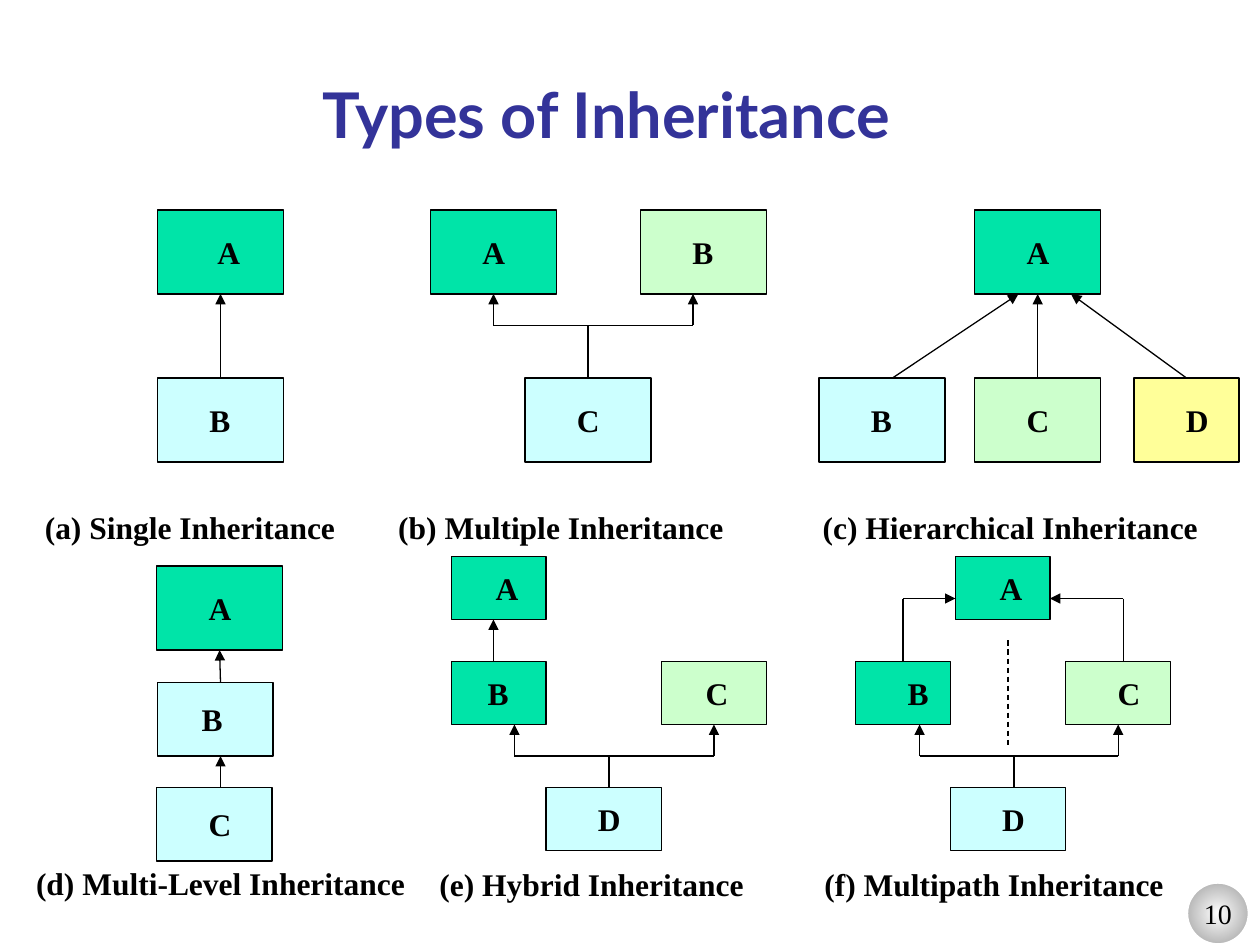
"""Build the slide on types of inheritance."""
from typing import NamedTuple

from lxml.etree import SubElement
from pptx import Presentation
from pptx.dml.color import RGBColor
from pptx.enum.dml import MSO_LINE
from pptx.enum.shapes import MSO_CONNECTOR, MSO_SHAPE
from pptx.enum.text import MSO_ANCHOR, PP_ALIGN
from pptx.oxml.ns import qn
from pptx.util import Pt

COLORS = {
    "black": "000000", "white": "FFFFFF", "grey": "979797", "title": "333399",
    "green": "00E4A8", "cyan": "CCFFFF", "lime": "CCFFCC", "yellow": "FFFF99",
}
SERIF = "Times New Roman"
INSET = 7.2


class Box(NamedTuple):
    label: str
    x: float
    y: float
    w: float
    h: float
    fill: str
    indent: float = 22.5


class Line(NamedTuple):
    x1: float
    y1: float
    x2: float
    y2: float
    arrow: bool = True
    dashed: bool = False


class Fork(NamedTuple):
    left: float
    right: float
    stem: float
    top: float
    bar: float
    bottom: float


class Caption(NamedTuple):
    text: str
    x: float
    y: float
    w: float


BOXES = [
    Box("A", 90, 120, 72, 48, "green", 27),
    Box("B", 90, 216, 72, 48, "cyan"),
    Box("A", 246, 120, 72, 48, "green"),
    Box("B", 366, 120, 72, 48, "lime"),
    Box("C", 300, 216, 72, 48, "cyan"),
    Box("A", 557, 120, 72, 48, "green"),
    Box("B", 468, 216, 72, 48, "cyan"),
    Box("C", 557, 216, 72, 48, "lime"),
    Box("D", 648, 216, 60, 48, "yellow"),
    Box("A", 89.5, 323.5, 72, 48, "green"),
    Box("B", 90, 390, 66, 42, "cyan", 18),
    Box("C", 89.5, 450, 66, 42, "cyan"),
    Box("A", 258, 318, 54, 36, "green", 18),
    Box("B", 258, 378, 54, 36, "green", 13.5),
    Box("C", 378, 378, 60, 36, "lime", 18),
    Box("D", 312, 450, 66, 36, "cyan"),
    Box("A", 546, 318, 54, 36, "green", 18),
    Box("B", 489, 378, 54, 36, "green"),
    Box("C", 609, 378, 60, 36, "lime"),
    Box("D", 543, 450, 66, 36, "cyan"),
]
LINES = [
    Line(126, 216, 126, 168),
    Line(510, 216, 582, 168),
    Line(593, 216, 593, 168),
    Line(678, 216, 612, 168),
    Line(126, 390, 125.5, 371.5),
    Line(126, 450, 126, 432),
    Line(282, 378, 282, 354),
    Line(516, 378, 516, 342, arrow=False),
    Line(516, 342, 546, 342),
    Line(642, 378, 642, 342, arrow=False),
    Line(642, 342, 600, 342),
    Line(576, 366, 576, 426, arrow=False, dashed=True),
]
FORKS = [
    Fork(282, 396, 336, 168, 186, 216),
    Fork(294, 408, 348, 414, 432, 450),
    Fork(525.5, 639, 579.5, 414, 432, 450),
]
CAPTIONS = [
    Caption("(a) Single Inheritance", 18.5, 286.5, 192),
    Caption("(b) Multiple Inheritance", 220.5, 286.5, 208),
    Caption("(c) Hierarchical Inheritance", 463, 286.5, 238),
    Caption("(d) Multi-Level Inheritance", 13.5, 490, 228),
    Caption("(e) Hybrid Inheritance", 244, 490.5, 190),
    Caption("(f) Multipath Inheritance", 464, 490.5, 210),
]


def rgb(name: str) -> RGBColor:
    """Return a named colour."""
    return RGBColor.from_string(COLORS[name])


def write(sp, text: str, size: float, font: str = SERIF, color: str = "black",
          bold: bool = True, align=PP_ALIGN.LEFT, anchor=MSO_ANCHOR.MIDDLE) -> None:
    """Put one paragraph of text into a shape."""
    tf = sp.text_frame
    tf.vertical_anchor = anchor
    p = tf.paragraphs[0]
    p.text = text
    p.alignment = align
    p.font.name, p.font.size, p.font.bold = font, Pt(size), bold
    p.font.color.rgb = rgb(color)


def draw_box(s, box: Box):
    """Draw a class box with its indented label."""
    sp = s.shapes.add_shape(MSO_SHAPE.RECTANGLE, Pt(box.x), Pt(box.y), Pt(box.w), Pt(box.h))
    sp.shadow.inherit = False
    sp.fill.solid()
    sp.fill.fore_color.rgb = rgb(box.fill)
    sp.line.color.rgb = rgb("black")
    sp.line.width = Pt(0.75)
    sp.text_frame.word_wrap = False
    sp.text_frame.margin_left = Pt(INSET + box.indent)
    write(sp, box.label, 18)
    return sp


def find_site(shapes: list, x: float, y: float):
    """Return the shape and side whose middle lies at a point, if any."""
    for box, sp in zip(BOXES, shapes):
        mid_x, mid_y = box.x + box.w / 2, box.y + box.h / 2
        sites = [(mid_x, box.y), (box.x, mid_y), (mid_x, box.y + box.h), (box.x + box.w, mid_y)]
        for side, (site_x, site_y) in enumerate(sites):
            if max(abs(site_x - x), abs(site_y - y)) <= 0.5:
                return sp, side
    return None


def draw_line(s, shapes: list, line: Line) -> None:
    """Draw a line or arrow, joined to boxes where it meets them."""
    cxn = s.shapes.add_connector(
        MSO_CONNECTOR.STRAIGHT, Pt(line.x1), Pt(line.y1), Pt(line.x2), Pt(line.y2))
    cxn.line.color.rgb = rgb("black")
    cxn.line.width = Pt(0.75)
    if line.dashed:
        cxn.line.dash_style = MSO_LINE.DASH
    if line.arrow:
        SubElement(cxn.line._get_or_add_ln(), qn("a:tailEnd"), type="triangle")
    SubElement(cxn._element.spPr, qn("a:effectLst"))
    begin = find_site(shapes, line.x1, line.y1)
    end = find_site(shapes, line.x2, line.y2)
    if begin:
        cxn.begin_connect(*begin)
    if end:
        cxn.end_connect(*end)


def draw_fork(s, shapes: list, fork: Fork) -> None:
    """Draw a stem that branches into two arrows."""
    draw_line(s, shapes, Line(fork.stem, fork.bottom, fork.stem, fork.bar, arrow=False))
    draw_line(s, shapes, Line(fork.left, fork.bar, fork.right, fork.bar, arrow=False))
    for x in (fork.left, fork.right):
        draw_line(s, shapes, Line(x, fork.bar, x, fork.top))


def draw_caption(s, caption: Caption) -> None:
    """Draw the caption of one diagram."""
    sp = s.shapes.add_textbox(Pt(caption.x), Pt(caption.y), Pt(caption.w), Pt(28))
    sp.text_frame.word_wrap = False
    write(sp, caption.text, 18, anchor=MSO_ANCHOR.TOP)


def draw_page_number(s) -> None:
    """Draw the page number on a shaded disc."""
    sp = s.shapes.add_shape(MSO_SHAPE.OVAL, Pt(678), Pt(504), Pt(36), Pt(36))
    sp.shadow.inherit = False
    sp.fill.gradient()
    for stop, color, position in zip(sp.fill.gradient_stops, ("white", "grey"), (0, 1)):
        stop.color.rgb = rgb(color)
        stop.position = position
    grad = sp._element.spPr.find(qn("a:gradFill"))
    grad.remove(grad.find(qn("a:lin")))
    shade = SubElement(grad, qn("a:path"), path="circle")
    SubElement(shade, qn("a:fillToRect"), dict.fromkeys("ltrb", "50000"))
    sp.line.color.rgb = rgb("white")
    sp.line.width = Pt(2)
    sp.text_frame.word_wrap = False
    write(sp, "10", 16, bold=False, align=PP_ALIGN.CENTER)


def main() -> None:
    """Build and save the slide."""
    prs = Presentation()
    prs.slide_width, prs.slide_height = Pt(720), Pt(540)
    s = prs.slides.add_slide(prs.slide_layouts[6])
    draw_page_number(s)
    title = s.shapes.add_textbox(Pt(0), Pt(12), Pt(693), Pt(78))
    title.text_frame.word_wrap = True
    write(title, "Types of Inheritance", 36, "Lato", "title",
          align=PP_ALIGN.CENTER, anchor=MSO_ANCHOR.BOTTOM)
    shapes = [draw_box(s, box) for box in BOXES]
    for line in LINES:
        draw_line(s, shapes, line)
    for fork in FORKS:
        draw_fork(s, shapes, fork)
    for caption in CAPTIONS:
        draw_caption(s, caption)
    prs.save("out.pptx")


if __name__ == "__main__":
    main()
